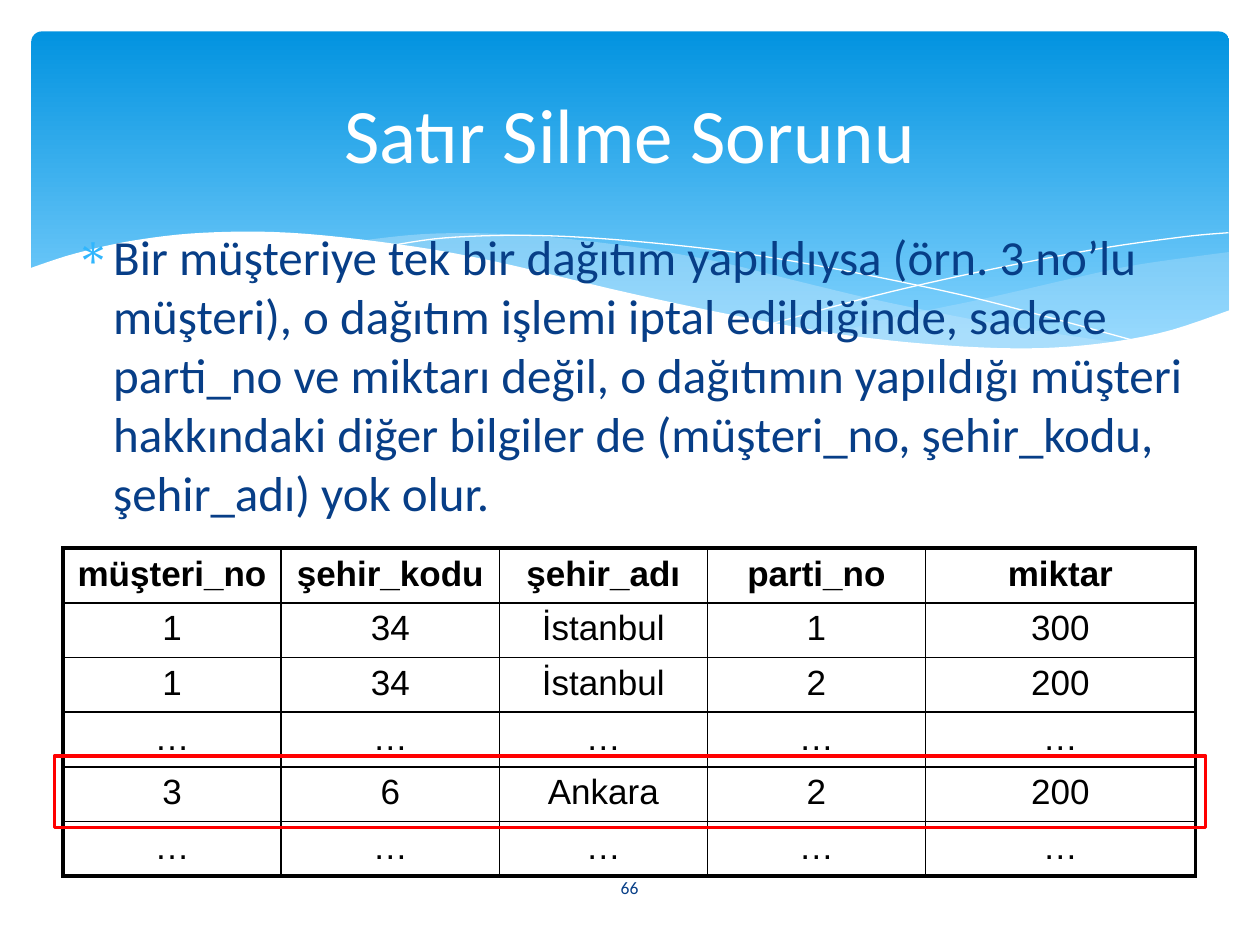
"""Build the slide on the row deletion problem: a wave banner, a bullet and a table."""
from typing import NamedTuple, Optional

from lxml import etree
from pptx import Presentation
from pptx import util as u
from pptx.dml.color import RGBColor
from pptx.enum import shapes, text
from pptx.oxml.ns import qn

WHITE = RGBColor(0xFF, 0xFF, 0xFF)
BLACK = RGBColor(0, 0, 0)
RED = RGBColor(0xFF, 0, 0)
NAVY = RGBColor(0x07, 0x3E, 0x87)
SKY = RGBColor(0x31, 0xB6, 0xFD)
DEEP = RGBColor(0x02, 0x93, 0xE0)
LIGHT = RGBColor(0x83, 0xD3, 0xFE)
PALE = RGBColor(0xC6, 0xE7, 0xFC)

Curve = list[tuple[float, float]]


class Box(NamedTuple):
    left: float
    top: float
    width: float
    height: float


class Wave(NamedTuple):
    edges: list[Curve]
    fill: Optional[RGBColor] = None
    alpha: int = 100


class Label(NamedTuple):
    words: str
    box: Box
    size: float
    color: RGBColor
    align: text.PP_ALIGN = text.PP_ALIGN.CENTER
    anchor: text.MSO_ANCHOR = text.MSO_ANCHOR.MIDDLE
    bullet: str = ""


BANNER = Box(18, 18, 684.5, 194.5)
MARK = Box(31, 432, 658, 41)
GRID = Box(36, 313.2, 647, 187.2)
WIDTHS = [124.7, 124.7, 118.8, 124.7, 154.1]
THICK, THIN = 2.25, 1

WAVES = [
    Wave([[(702.5, 144), (652, 151), (620, 157.5), (561, 171), (508, 182), (476, 191)],
          [(476, 191), (518, 196), (562, 199.5), (601, 199.5), (640, 196.5),
           (674, 189.5), (702.5, 178)]], PALE, 29),
    Wave([[(643, 196.5), (580, 187), (508, 173), (453, 160), (410, 149.5),
           (361, 141), (302, 134.5), (248, 133.5), (206, 137.5)],
          [(206, 137.5), (261, 146), (323, 160), (408, 179), (468, 190),
           (530, 198), (589, 200), (643, 196.5)]], PALE, 40),
    Wave([[(222.5, 140.5), (254, 136), (300, 134.5), (352, 137), (419, 144),
           (479, 154), (547, 168), (598, 181), (653, 196)]]),
    Wave([[(441, 185), (500, 169), (559, 155.5), (623, 143), (675, 135.5), (702, 133)]]),
    Wave([[(703.5, 177), (662, 190.5), (612, 198), (560, 198.5), (495, 193),
           (434, 183), (362, 168), (281, 149), (227, 139.5), (166, 133),
           (116, 133), (76, 137.5), (42.5, 145), (16.5, 153.5)],
          [(16.5, 237), (703.5, 237)]], WHITE),
]

LABELS = [
    Label("66", Box(314, 492.5, 91.5, 28.8), 10, NAVY),
    Label("Bir müşteriye tek bir dağıtım yapıldıysa (örn. 3 no’lu müşteri), "
          "o dağıtım işlemi iptal edildiğinde, sadece parti_no ve miktarı değil, "
          "o dağıtımın yapıldığı müşteri hakkındaki diğer bilgiler de "
          "(müşteri_no, şehir_kodu, şehir_adı) yok olur.",
          Box(36, 126, 648, 183.6), 28, NAVY, text.PP_ALIGN.LEFT,
          text.MSO_ANCHOR.TOP, "∗"),
    Label("Satır Silme Sorunu", Box(36, 26.6, 648, 98.6), 44, WHITE),
]

ROWS = [
    ["müşteri_no", "şehir_kodu", "şehir_adı", "parti_no", "miktar"],
    ["1", "34", "İstanbul", "1", "300"],
    ["1", "34", "İstanbul", "2", "200"],
    ["…"] * 5,
    ["3", "6", "Ankara", "2", "200"],
    ["…"] * 5,
]


def place(box: Box) -> list[u.Length]:
    """Return the box as lengths."""
    return [u.Pt(side) for side in box]


def smooth(curve: Curve, steps: int = 6) -> Curve:
    """Return points on a spline that runs through the curve."""
    pad = [curve[0], *curve, curve[-1]]
    points = [curve[0]]
    for a, b, c, d in zip(pad, pad[1:], pad[2:], pad[3:]):
        for step in range(1, steps + 1):
            t = step / steps
            points.append(tuple(
                b[i] + t / 2 * (c[i] - a[i]
                                + t * (2 * a[i] - 5 * b[i] + 4 * c[i] - d[i])
                                + t ** 2 * (3 * b[i] - a[i] - 3 * c[i] + d[i]))
                for i in (0, 1)))
    return points


def write(para, words: str, face: str, size: float, color: RGBColor, bold: bool = False) -> None:
    """Add one styled run to the paragraph."""
    run = para.add_run()
    run.text = words
    font = run.font
    font.name, font.size, font.bold = face, u.Pt(size), bold
    font.color.rgb = color


def add_wave(slide, wave: Wave) -> None:
    """Draw a filled wave or an open white hairline."""
    points = [(u.Pt(x), u.Pt(y)) for edge in wave.edges for x, y in smooth(edge)]
    pen = slide.shapes.build_freeform(*points[0])
    pen.add_line_segments(points[1:], close=wave.fill is not None)
    shape = pen.convert_to_shape()
    shape.shadow.inherit = False
    if wave.fill is None:
        shape.fill.background()
        shape.line.color.rgb = WHITE
        shape.line.width = u.Pt(0)
        return
    shape.line.fill.background()
    shape.fill.solid()
    shape.fill.fore_color.rgb = wave.fill
    if wave.alpha < 100:
        tint = shape.fill._xPr.find(".//" + qn("a:srgbClr"))
        etree.SubElement(tint, qn("a:alpha"), val=str(wave.alpha * 1000))


def add_banner(slide) -> None:
    """Draw the rounded blue banner."""
    shape = slide.shapes.add_shape(shapes.MSO_SHAPE.ROUNDED_RECTANGLE, *place(BANNER))
    shape.adjustments[0] = 0.03
    shape.shadow.inherit = False
    shape.line.fill.background()
    shape.fill.gradient()
    shape.fill.gradient_angle = 270
    for stop, color, spot in zip(shape.fill.gradient_stops, (DEEP, LIGHT), (0, 0.9)):
        stop.color.rgb, stop.position = color, spot


def add_label(slide, label: Label) -> None:
    """Draw a text box, with a hanging bullet if one is given."""
    frame = slide.shapes.add_textbox(*place(label.box)).text_frame
    frame.word_wrap = True
    frame.vertical_anchor = label.anchor
    para = frame.paragraphs[0]
    para.alignment = label.align
    if label.bullet:
        props = para._p.get_or_add_pPr()
        props.set("marL", str(u.Pt(21.6)))
        props.set("indent", str(u.Pt(-21.6)))
        tint = etree.SubElement(props, qn("a:buClr"))
        etree.SubElement(tint, qn("a:srgbClr"), val=str(SKY))
        etree.SubElement(props, qn("a:buFont"), typeface="Symbol")
        etree.SubElement(props, qn("a:buChar"), char=label.bullet)
    write(para, label.words, "Calibri", label.size, label.color)


def add_edge(cell, side: str, width: float) -> None:
    """Add a black border to one side of the cell."""
    line = etree.SubElement(cell._tc.get_or_add_tcPr(), qn("a:ln" + side), w=str(u.Pt(width)))
    fill = etree.SubElement(line, qn("a:solidFill"))
    etree.SubElement(fill, qn("a:srgbClr"), val=str(BLACK))


def add_grid(slide) -> None:
    """Draw the table with a thick outer frame."""
    last_row, last_col = len(ROWS) - 1, len(WIDTHS) - 1
    table = slide.shapes.add_table(len(ROWS), len(WIDTHS), *place(GRID)).table
    table.first_row = table.horz_banding = False
    for col, width in zip(table.columns, WIDTHS):
        col.width = u.Pt(width)
    for r, row in enumerate(ROWS):
        table.rows[r].height = u.Pt(GRID.height / len(ROWS))
        for c, words in enumerate(row):
            cell = table.cell(r, c)
            outer = {"L": c == 0, "R": c == last_col, "T": r == 0, "B": r == last_row}
            for side, thick in outer.items():
                add_edge(cell, side, THICK if thick else THIN)
            cell.fill.background()
            para = cell.text_frame.paragraphs[0]
            para.alignment = text.PP_ALIGN.CENTER
            write(para, words, "Arial", 20, BLACK, r == 0)


def add_mark(slide) -> None:
    """Draw the red frame around the row to delete."""
    shape = slide.shapes.add_shape(shapes.MSO_SHAPE.RECTANGLE, *place(MARK))
    shape.shadow.inherit = False
    shape.fill.background()
    shape.line.color.rgb = RED
    shape.line.width = u.Pt(2)


def main() -> None:
    """Build and save the slide."""
    deck = Presentation()
    deck.slide_width, deck.slide_height = u.Pt(720), u.Pt(540)
    slide = deck.slides.add_slide(deck.slide_layouts[6])
    add_banner(slide)
    for wave in WAVES:
        add_wave(slide, wave)
    for label in LABELS:
        add_label(slide, label)
    add_grid(slide)
    add_mark(slide)
    deck.save("out.pptx")


if __name__ == "__main__":
    main()
